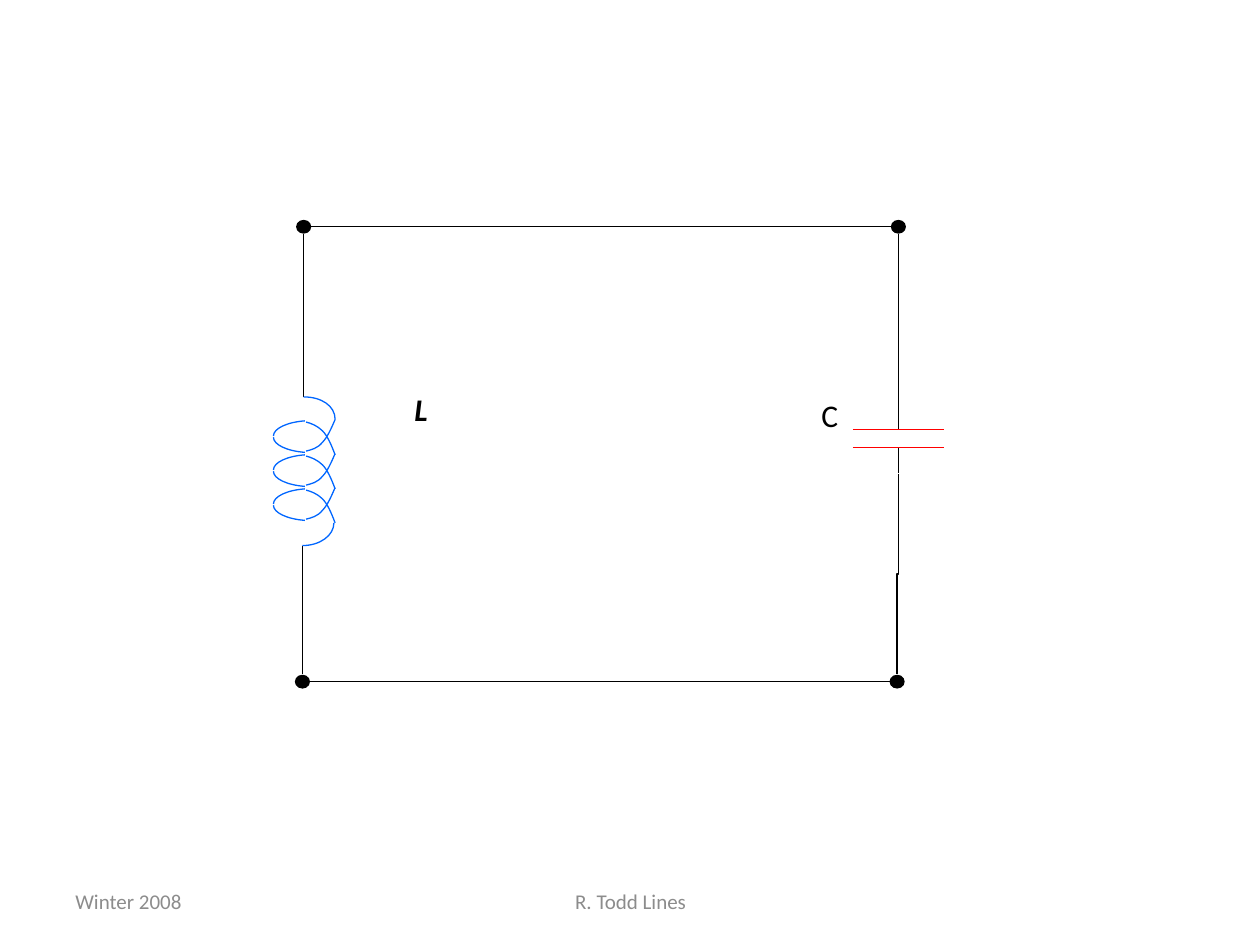
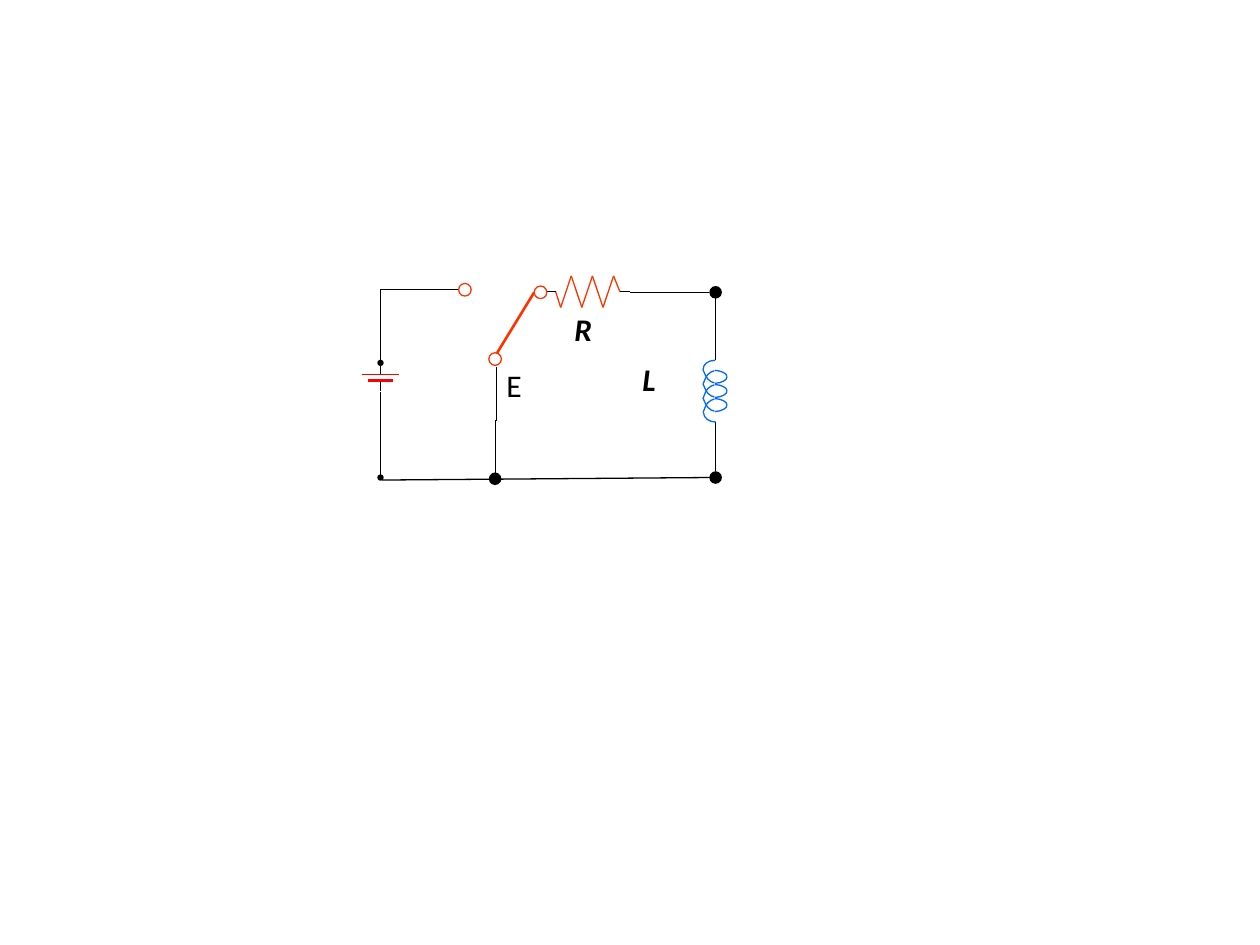
from itertools import pairwise

from lxml.etree import SubElement
from pptx import Presentation
from pptx.dml.color import RGBColor
from pptx.enum.shapes import MSO_CONNECTOR, MSO_SHAPE
from pptx.enum.text import MSO_ANCHOR, MSO_AUTO_SIZE, PP_ALIGN
from pptx.oxml.ns import qn
from pptx.util import Pt

PX = 9144  # one px is 1/100 inch
FONT = "Calibri"
INK = {"wire": "000000", "coil": "0066FF", "plate": "FF0000",
       "switch": "FF3300", "paper": "FFFFFF", "foot": "8C8C8C"}

# Coil strokes in a 49 x 118 box: a start, then Bezier triples
COIL_W, COIL_H, PITCH = 49, 118, 27
TURN = [
    [(49, 18), (46, 25), (43, 32), (39, 36), (35, 41), (30, 42), (26, 43)],
    [(0, 32), (0, 38), (11, 43), (25, 44)],
    [(49, 46), (46, 38), (43, 31), (39, 27), (35, 23), (30, 21), (26, 20)],
    [(0, 31), (0, 25), (11, 20), (25, 19)],
]
ENDS = [
    [(49, 18), (49, 7), (38, 0), (24, 0)],
    [(48, 100), (48, 110), (37, 118), (23, 118)],
]


def emu(*sizes):
    return [round(size * PX) for size in sizes]


def tint(name):
    return RGBColor.from_string(INK[name])


def smooth(shape):
    """Turn each three straight segments into one Bezier segment."""
    route = shape._element.find(".//" + qn("a:path"))
    steps = route.findall(qn("a:lnTo"))
    for k in range(0, len(steps), 3):
        bend = SubElement(route, qn("a:cubicBezTo"))
        for step in steps[k:k + 3]:
            bend.append(step[0])
            route.remove(step)


class Board:
    """Draws on a slide, relative to a left top corner."""

    def __init__(self, slide, left=0, top=0):
        self.shapes, self.left, self.top = slide.shapes, left, top

    def spot(self, x, y):
        return emu(self.left + x, self.top + y)

    def group(self, parts):
        self.shapes.add_group_shape(parts)

    def line(self, x1, y1, x2, y2, ink="wire", width=0.75,
             kind=MSO_CONNECTOR.STRAIGHT):
        line = self.shapes.add_connector(
            kind, *self.spot(x1, y1), *self.spot(x2, y2))
        line.line.color.rgb = tint(ink)
        line.line.width = Pt(width)
        SubElement(line._element.spPr, qn("a:effectLst"))
        return line

    def bend(self, x1, y1, x2, y2):
        """Wire with a step halfway."""
        return self.line(x1, y1, x2, y2, kind=MSO_CONNECTOR.ELBOW)

    def corner(self, x1, y1, x2, y2):
        """Wire with a single corner."""
        wire = self.bend(x1, y1, x2, y2)
        shape = wire._element.spPr.find(qn("a:prstGeom"))
        shape.set("prst", "bentConnector2")

    def drop(self, x1, y1, x2, y2):
        """Stepped wire that runs down: a level one, turned."""
        mid, half = (x1 + x2) / 2, (y2 - y1) / 2
        level, jog = (y1 + y2) / 2, (x1 - x2) / 2
        wire = self.bend(mid - half, level - jog, mid + half, level + jog)
        wire._element.spPr.find(qn("a:xfrm")).set("rot", "5400000")

    def dot(self, x, y, wide, high, fill="wire", edge=None):
        dot = self.shapes.add_shape(
            MSO_SHAPE.OVAL, *self.spot(x - wide / 2, y - high / 2),
            *emu(wide, high))
        dot.shadow.inherit = False
        dot.fill.solid()
        dot.fill.fore_color.rgb = tint(fill)
        if edge:
            dot.line.color.rgb = tint(edge)
            dot.line.width = Pt(0.75)
        else:
            dot.line.fill.background()

    def text(self, words, x, y, wide, high, size, ink="wire"):
        box = self.shapes.add_textbox(*self.spot(x, y), *emu(wide, high))
        box.text_frame.text = words
        para = box.text_frame.paragraphs[0]
        para.font.name, para.font.size = FONT, Pt(size)
        para.font.color.rgb = tint(ink)
        return box.text_frame, para

    def label(self, words, x, y, wide, strong=True):
        frame, para = self.text(words, x, y, wide, 40, 18)
        frame.word_wrap = False
        frame.auto_size = MSO_AUTO_SIZE.SHAPE_TO_FIT_TEXT
        if strong:
            para.font.bold = para.font.italic = True

    def coil(self, x, y, wide, high, flip=False):
        turns = [[(u, v + PITCH * n) for u, v in curve]
                 for n in range(3) for curve in TURN]
        parts = []
        for curve in turns + ENDS:
            points = [self.spot(x + (COIL_W - u if flip else u) * wide / COIL_W,
                                y + v * high / COIL_H)
                      for u, v in curve]
            pen = self.shapes.build_freeform(*points[0])
            pen.add_line_segments(points[1:], close=False)
            part = pen.convert_to_shape()
            smooth(part)
            part.shadow.inherit = False
            part.fill.background()
            part.line.color.rgb = tint("coil")
            part.line.width = Pt(0.75)
            parts.append(part)
        self.group(parts)

    def plates(self, x, y, lead, gap, halves, widths):
        """Two plates with a lead above and below, centred on x."""
        low = y + lead + gap
        parts = [self.line(x, y, x, y + lead),
                 self.line(x, low, x, low + lead)]
        for level, half, width in zip((y + lead, low), halves, widths):
            parts.append(self.line(x - half, level, x + half, level,
                                   "plate", width))
        self.group(parts)

    def resistor(self, x, y, wide, high):
        lead, mid = 8, y + high / 2
        start, end = x + lead, x + wide - lead
        peaks = [(start + 4 + 8.4 * n, y if n % 2 else y + high)
                 for n in range(6)]
        zigzag = [(start, mid), *peaks, (end, mid)]
        parts = [self.line(*a, *b, "switch") for a, b in pairwise(zigzag)]
        parts += [self.line(x, mid, start, mid),
                  self.line(end, mid, x + wide, mid)]
        self.group(parts)


def footer(slide):
    board = Board(slide, 50, 695)
    for words, x, wide, align in (("Winter 2008", 0, 233, PP_ALIGN.LEFT),
                                  ("R. Todd Lines", 292, 317, PP_ALIGN.CENTER)):
        frame, para = board.text(words, x, 0, wide, 40, 12, "foot")
        frame.word_wrap = True
        frame.vertical_anchor = MSO_ANCHOR.MIDDLE
        para.alignment = align


def tank(slide, left, top):
    """Coil and capacitor loop."""
    board = Board(slide, left, top)
    wide, high = 473, 361
    # Wires
    for y in (0, high):
        board.bend(wide - 6, y, 6, y)
    for x1, y1, x2, y2 in ((1, 6, 1, 135), (0, 253, 0, 355),
                           (wide, 6, wide, 141), (wide, 196, wide - 1, 355)):
        board.drop(x1, y1, x2, y2)
    # Parts and corners
    board.coil(-23, 135, 49, 118)
    board.plates(wide, 141, 20, 14, (36, 36), (0.75, 0.75))
    for x, y in ((1, 0), (wide, 0), (0, high), (wide - 1, high)):
        board.dot(x, y, 12, 11)
    board.label("L", 79, 125, 36)
    board.label("C", 402, 129, 38, strong=False)


def switched(slide, left, top):
    """Battery, switch, resistor and coil loop."""
    board = Board(slide, left, top)
    # Wires
    board.corner(62, 0, 0, 56)
    board.corner(261, 2, 198, 2)
    board.line(262, 149, 1, 151)
    board.line(266, 144, 266, 105)
    for x1, y1, x2, y2 in ((0, 81, 0, 147), (92, 61, 91, 146),
                           (266, 6, 266, 56)):
        board.drop(x1, y1, x2, y2)
    # Parts
    board.coil(256, 56, 19, 49, flip=True)
    board.plates(0, 59, 8, 5, (15, 10), (0.75, 2.25))
    board.resistor(131, -11, 67, 25)
    # Joints
    for x, y, size in ((0, 58, 5), (0, 149, 5), (91, 150, 10),
                       (266, 2, 10), (266, 149, 10)):
        board.dot(x, y, size, size)
    # Switch
    board.line(92, 51, 122, 2, "switch", 1.5)
    for x, y in ((67, 0), (91, 55), (127, 2)):
        board.dot(x, y, 10, 10, "paper", "switch")
    board.label("E", 90, 56, 37, strong=False)
    board.label("R", 144, 11, 38)
    board.label("L", 198, 51, 35)


def main():
    deck = Presentation()
    deck.slide_width, deck.slide_height = emu(1000, 750)
    blank = deck.slide_layouts[6]
    first, second = (deck.slides.add_slide(blank) for _ in range(2))
    footer(first)
    tank(first, 240, 180)
    switched(second, 302, 230)
    deck.save("out.pptx")


if __name__ == "__main__":
    main()
